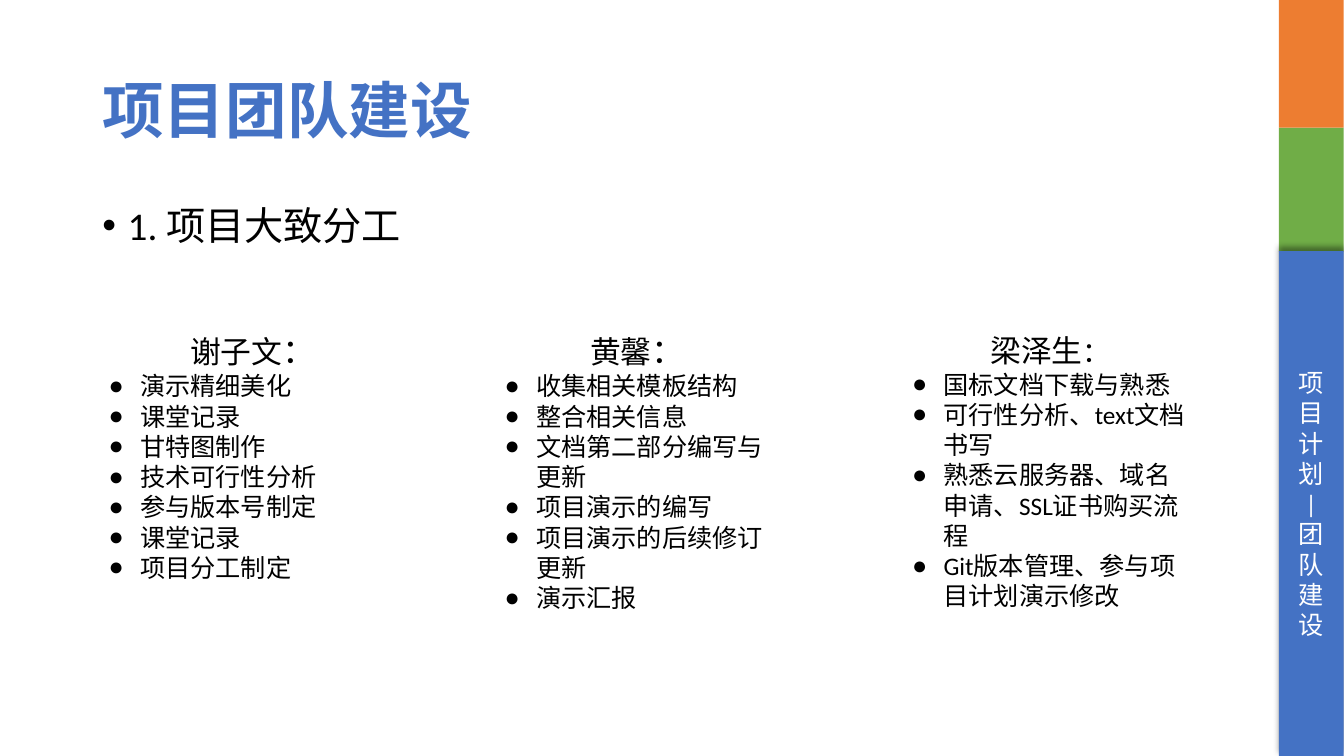
from dataclasses import dataclass

import pptx
import pptx.dml.color
import pptx.enum.shapes
import pptx.enum.text
import pptx.oxml
import pptx.oxml.ns
import pptx.util
from pptx.util import Cm, Pt

ALIGN = pptx.enum.text.PP_ALIGN
ANCHOR = pptx.enum.text.MSO_ANCHOR
FIT = pptx.enum.text.MSO_AUTO_SIZE
NS = pptx.oxml.ns.nsdecls("a")

ORANGE, GREEN, BLUE = "ED7D31", "70AD47", "4472C4"
BLACK, WHITE = "000000", "FFFFFF"


@dataclass
class Box:
    left: float
    top: float
    width: float
    height: float

    def size(self) -> list:
        return [Cm(v) for v in (self.left, self.top, self.width, self.height)]


@dataclass
class Band:
    """One colour block of the sidebar."""
    top: float
    height: float
    fill: str


@dataclass
class Member:
    name: str
    colon: int  # size of the colon after the name, in points
    box: Box
    tasks: list[str]


BANDS = [Band(3.22, 3.12, GREEN), Band(0, 3.22, ORANGE), Band(6.33, 12.72, BLUE)]
LABEL = ["项目计划", "|", "团队建设"]

TEAM = [
    Member("谢子文", 24, Box(2.49, 8.2, 7.77, 7.44),
           ["演示精细美化", "课堂记录", "甘特图制作", "技术可行性分析",
            "参与版本号制定", "课堂记录", "项目分工制定"]),
    Member("黄馨", 24, Box(12.47, 8.2, 7.21, 7.44),
           ["收集相关模板结构", "整合相关信息", "文档第二部分编写与更新",
            "项目演示的编写", "项目演示的后续修订更新", "演示汇报"]),
    Member("梁泽生", 20, Box(22.74, 8.24, 7.47, 7.34),
           ["国标文档下载与熟悉", "可行性分析、text文档书写",
            "熟悉云服务器、域名申请、SSL证书购买流程",
            "Git版本管理、参与项目计划演示修改"]),
]


def color(code: str) -> pptx.dml.color.RGBColor:
    return pptx.dml.color.RGBColor.from_string(code)


def add_run(para, text: str, size: float, tint: str = BLACK, bold: bool = False) -> None:
    run = para.add_run()
    run.text = text
    font = run.font
    font.name, font.size, font.bold = "Calibri", Pt(size), bold
    font.color.rgb = color(tint)


def write(frame, text: str, *, size: float, tint: str = BLACK, bold: bool = False,
          align=ALIGN.LEFT, space: float = 1, before: float = 0,
          mark: str = "", hang: float = 0):
    """Add a paragraph, using the empty first one if it is still free."""
    para = frame.paragraphs[0]
    if para.runs:
        para = frame.add_paragraph()
    para.alignment = align
    para.line_spacing = space
    para.space_before = Pt(before)
    if mark:
        props = para._p.get_or_add_pPr()
        props.set("marL", str(Cm(hang)))
        props.set("indent", str(-Cm(hang)))
        for xml in (f'<a:buFont {NS} typeface="Arial"/>',
                    f'<a:buChar {NS} char="{mark}"/>'):
            props.append(pptx.oxml.parse_xml(xml))
    add_run(para, text, size, tint, bold)
    return para


def add_text(slide, box: Box, anchor=ANCHOR.TOP, fit=FIT.NONE):
    frame = slide.shapes.add_textbox(*box.size()).text_frame
    frame.word_wrap = True
    frame.auto_size = fit
    frame.vertical_anchor = anchor
    return frame


def add_band(slide, band: Band):
    box = Box(32.23, band.top, 1.63, band.height)
    shape = slide.shapes.add_shape(
        pptx.enum.shapes.MSO_SHAPE.RECTANGLE, *box.size())
    shape.shadow.inherit = False
    shape.fill.solid()
    shape.fill.fore_color.rgb = color(band.fill)
    shape.line.fill.background()
    return shape


def cast_up(shape) -> None:
    """Give the shape a soft shadow above its top edge."""
    glow = pptx.oxml.parse_xml(
        f'<a:outerShdw {NS} blurRad="{Pt(4)}" dist="{Pt(3)}" dir="16200000" '
        f'rotWithShape="0"><a:srgbClr val="{BLACK}"><a:alpha val="40000"/>'
        '</a:srgbClr></a:outerShdw>')
    shape._element.spPr.find(pptx.oxml.ns.qn("a:effectLst")).append(glow)


def add_member(slide, member: Member) -> None:
    frame = add_text(slide, member.box, fit=FIT.SHAPE_TO_FIT_TEXT)
    head = write(frame, member.name, size=22, align=ALIGN.CENTER)
    add_run(head, "：", member.colon)
    for task in member.tasks:
        write(frame, task, size=18, mark="●", hang=0.79)


def main() -> None:
    deck = pptx.Presentation()
    deck.slide_width, deck.slide_height = Cm(33.87), Cm(19.05)
    slide = deck.slides.add_slide(deck.slide_layouts[6])

    title = add_text(slide, Box(2.33, 1.01, 29.21, 3.68), ANCHOR.MIDDLE)
    write(title, "项目团队建设", size=44, tint=BLUE, bold=True, space=0.9)
    topic = add_text(slide, Box(2.33, 5.07, 29.21, 12.09))
    write(topic, "1. 项目大致分工", size=28, space=0.9, before=10,
          mark="•", hang=0.64)

    side = [add_band(slide, band) for band in BANDS][-1]
    cast_up(side)
    side.text_frame.word_wrap = True
    side.text_frame.vertical_anchor = ANCHOR.MIDDLE
    for part in LABEL:
        write(side.text_frame, part, size=18, tint=WHITE, align=ALIGN.CENTER)

    for member in TEAM:
        add_member(slide, member)
    deck.save("out.pptx")


if __name__ == "__main__":
    main()
